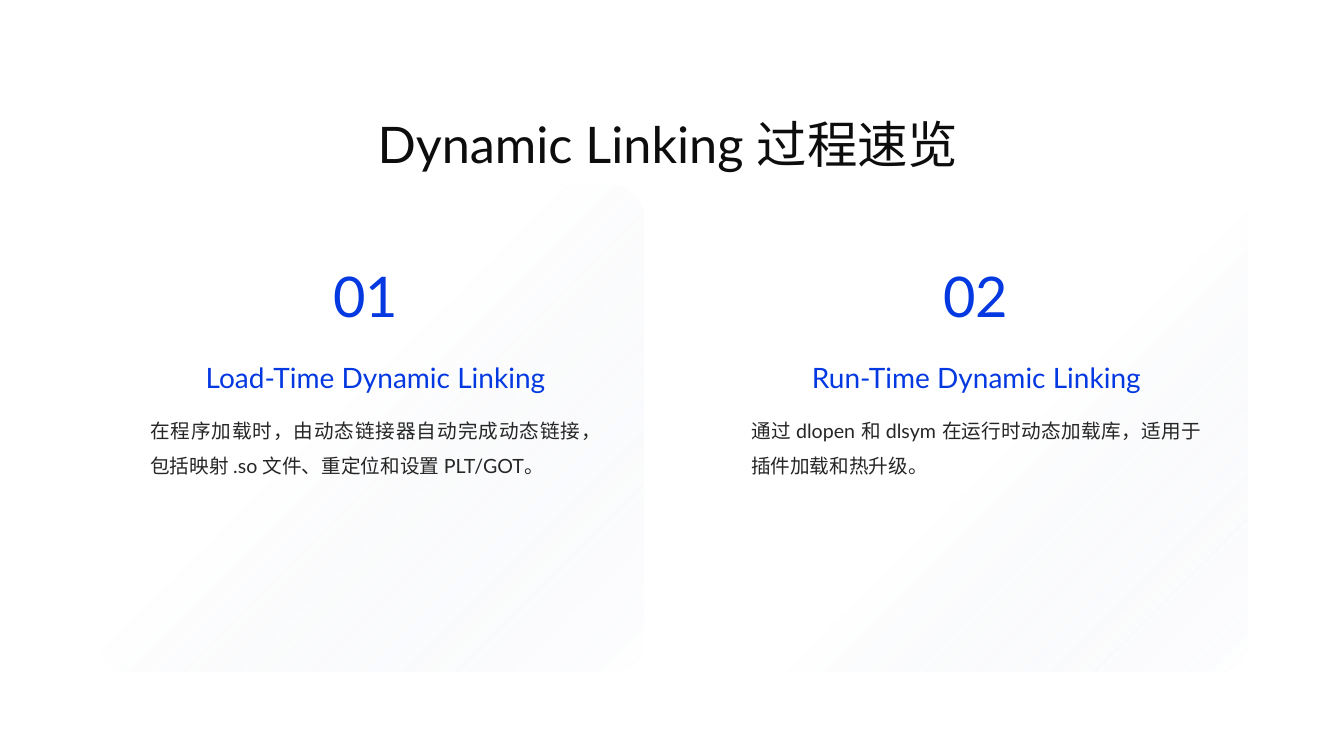
from dataclasses import dataclass

from lxml import etree
from pptx import Presentation
from pptx.dml.color import RGBColor
from pptx.enum.shapes import MSO_SHAPE as SHAPE
from pptx.enum.text import MSO_ANCHOR as ANCHOR, MSO_AUTO_SIZE as AUTO, PP_ALIGN as ALIGN
from pptx.oxml import parse_xml
from pptx.oxml.ns import nsdecls, qn
from pptx.util import Inches, Pt

FONT = "Lato"
INK, BLUE, GREY = "0D0D0D", "0439E1", "262626"
WHITE, MIST = "FFFFFF", "EAEEF4"


@dataclass
class Card:
    number: str
    heading: str
    body: str
    left: float
    number_left: float
    text_left: float
    fade_stop: int  # percent of the gradient


CARDS = [
    Card("01", "Load-Time Dynamic Linking",
         "在程序加载时，由动态链接器自动完成动态链接，包括映射 .so 文件、重定位和设置 PLT/GOT。",
         0.96, 3.15, 0.99, 56),
    Card("02", "Run-Time Dynamic Linking",
         "通过 dlopen 和 dlsym 在运行时动态加载库，适用于插件加载和热升级。",
         6.95, 9.2, 6.95, 46),
]


def color(value: str) -> RGBColor:
    return RGBColor.from_string(value)


def place(shape, left: float, top: float, width: float, height: float) -> None:
    shape.left, shape.top = Inches(left), Inches(top)
    shape.width, shape.height = Inches(width), Inches(height)


def write(shape, text: str, size: float, ink: str, align=ALIGN.CENTER, spacing: float = 1.0) -> None:
    tf = shape.text_frame
    tf.text = text
    tf.word_wrap = True
    tf.vertical_anchor = ANCHOR.TOP
    tf.margin_left = tf.margin_right = tf.margin_top = tf.margin_bottom = 0
    p = tf.paragraphs[0]
    p.alignment, p.line_spacing = align, spacing
    p.space_before = Pt(0)
    for r in p.runs:
        r.font.name, r.font.size = FONT, Pt(size)
        r.font.color.rgb = color(ink)


def add_text(slide, box: tuple, text: str, size: float, ink: str, **style) -> None:
    write(slide.shapes.add_textbox(*map(Inches, box)), text, size, ink, **style)


def fade_fill(shape, stops: list[tuple[int, str, int]]) -> None:
    """Fill with a gradient spreading from the lower right corner; stops are position, colour, opacity."""
    shape.fill.background()
    grad = parse_xml(f'<a:gradFill {nsdecls("a")} rotWithShape="1"><a:gsLst/></a:gradFill>')
    for position, value, opacity in stops:
        gs = etree.SubElement(grad[0], qn("a:gs"), pos=str(position * 1000))
        clr = etree.SubElement(gs, qn("a:srgbClr"), val=value)
        etree.SubElement(clr, qn("a:alpha"), val=str(opacity * 1000))
    focus = etree.SubElement(grad, qn("a:path"), path="circle")
    etree.SubElement(focus, qn("a:fillToRect"), l="100000", t="100000")
    sp_pr = shape._element.spPr
    sp_pr.replace(sp_pr.find(qn("a:noFill")), grad)


def add_panel(slide, card: Card) -> None:
    s = slide.shapes.add_shape(SHAPE.ROUNDED_RECTANGLE, 0, 0, 0, 0)
    place(s, card.left, 1.83, 5.42, 4.83)
    s.adjustments[0] = 0.07
    s.shadow.inherit = False
    s.line.fill.background()
    fade_fill(s, [(0, WHITE, 86), (card.fade_stop, MIST, 0), (100, MIST, 0)])


def add_card_text(slide, card: Card) -> None:
    add_text(slide, (card.number_left, 2.59, 0.96, 0.76), card.number, 40, BLUE)
    add_text(slide, (card.text_left, 3.58, 5.47, 0.42), card.heading, 20, BLUE)
    add_text(slide, (card.text_left + 0.5, 4.04, 4.47, 2.32), card.body, 14, GREY,
             align=ALIGN.JUSTIFY, spacing=1.5)


def main() -> None:
    prs = Presentation()
    prs.slide_width, prs.slide_height = Inches(13.33), Inches(7.5)
    slide = prs.slides.add_slide(prs.slide_layouts[5])

    # Title
    title = slide.shapes.title
    place(title, 0.8, 0.82, 11.65, 0.89)
    write(title, "Dynamic Linking 过程速览", 36, INK, spacing=1.5)
    title.text_frame.auto_size = AUTO.SHAPE_TO_FIT_TEXT

    # Cards
    for card in CARDS:
        add_panel(slide, card)
        add_card_text(slide, card)

    prs.save("out.pptx")


if __name__ == "__main__":
    main()
